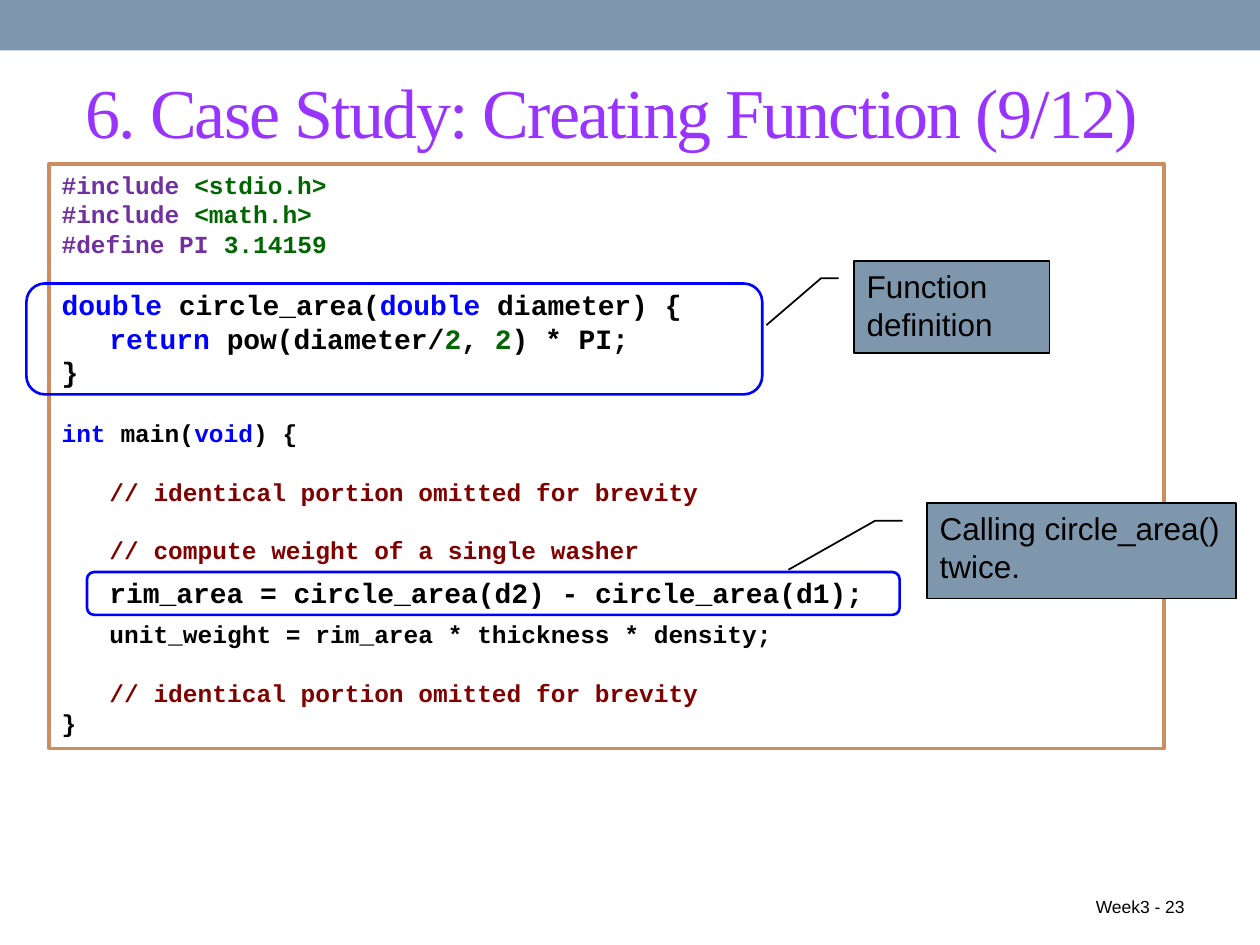
from lxml.etree import SubElement
from pptx import Presentation
from pptx.dml.color import RGBColor
from pptx.enum.shapes import MSO_SHAPE
from pptx.enum.text import MSO_ANCHOR as Anchor, PP_ALIGN as Align
from pptx.oxml.ns import qn
from pptx.util import Pt

COLORS = {
    "white": "FFFFFF", "black": "000000", "slate": "7E97AD", "tan": "CC8E60",
    "title": "9933FF", "directive": "7030A0", "literal": "006600",
    "keyword": "0000FF", "comment": "800000",
}


def write_text(paragraph, text, size=18, color="black", font="Arial", bold=False, spacing=0):
    run = paragraph.add_run()
    run.text = text
    run.font.size = Pt(size)
    run.font.name = font
    run.font.bold = bold
    run.font.color.rgb = RGBColor.from_string(COLORS[color])
    if spacing:
        run.font._element.set("spc", str(spacing * 100))


def add_box(kind, left, top, width, height, fill=None, line=None, weight=1):
    shape = slide.shapes.add_shape(kind, Pt(left), Pt(top), Pt(width), Pt(height))
    shape.shadow.inherit = False
    if fill:
        shape.fill.solid()
        shape.fill.fore_color.rgb = RGBColor.from_string(COLORS[fill])
    else:
        shape.fill.background()
    if line:
        shape.line.color.rgb = RGBColor.from_string(COLORS[line])
        shape.line.width = Pt(weight)
    else:
        shape.line.fill.background()
    shape.text_frame.word_wrap = True
    shape.text_frame.vertical_anchor = Anchor.TOP
    shape.text_frame.paragraphs[0].alignment = Align.LEFT
    return shape


presentation = Presentation()
presentation.slide_width = Pt(720)
presentation.slide_height = Pt(540)
slide = presentation.slides.add_slide(presentation.slide_layouts[6])

add_box(MSO_SHAPE.RECTANGLE, 0, 0, 720, 28.8, fill="slate")

title = slide.shapes.add_textbox(Pt(41.76), Pt(30.24), Pt(660.24), Pt(66.24))
title.text_frame.word_wrap = True
title.text_frame.vertical_anchor = Anchor.MIDDLE
write_text(title.text_frame.paragraphs[0], "6. Case Study: Creating Function (9/12)",
           size=40, color="title", font="Times New Roman", spacing=-1)

footer = slide.shapes.add_textbox(Pt(516.24), Pt(491.76), Pt(167.76), Pt(36))
footer.text_frame.word_wrap = True
footer.text_frame.vertical_anchor = Anchor.BOTTOM
footer.text_frame.paragraphs[0].alignment = Align.RIGHT
write_text(footer.text_frame.paragraphs[0], "Week3 - 23", size=10)

SMALL, LARGE = 14, 16
LINE_RATIO = 1.2
GAP = SMALL * LINE_RATIO
code_lines = [
    (SMALL, 0, 0, [("#include ", "directive"), ("<stdio.h>", "literal")]),
    (SMALL, 0, 0, [("#include ", "directive"), ("<math.h>", "literal")]),
    (SMALL, 0, 0, [("#define PI ", "directive"), ("3.14159", "literal")]),
    (LARGE, GAP, 0, [("double ", "keyword"), ("circle_area(", "black"),
                     ("double", "keyword"), (" diameter) {", "black")]),
    (LARGE, 0, 0, [("\treturn ", "keyword"), ("pow(diameter/", "black"), ("2", "literal"),
                   (", ", "black"), ("2", "literal"), (") * PI;", "black")]),
    (LARGE, 0, 0, [("}", "black")]),
    (SMALL, GAP, 0, [("int", "keyword"), (" main(", "black"),
                     ("void", "keyword"), (") {", "black")]),
    (SMALL, GAP, 0, [("\t// identical portion omitted for brevity", "comment")]),
    (SMALL, GAP, 0, [("\t// compute weight of a single washer", "comment")]),
    (LARGE, 6, 6, [("\trim_area = circle_area(d2) - circle_area(d1);", "black")]),
    (SMALL, 0, 0, [("\tunit_weight = rim_area * thickness * density;", "black")]),
    (SMALL, GAP, 0, [("\t// identical portion omitted for brevity", "comment")]),
    (SMALL, 0, 0, [("}", "black")]),
]

code_box = add_box(MSO_SHAPE.RECTANGLE, 28.08, 93.6, 637.2, 334.08,
                   fill="white", line="tan", weight=2.08)
code_frame = code_box.text_frame
for index, (size, before, after, runs) in enumerate(code_lines):
    paragraph = code_frame.add_paragraph() if index else code_frame.paragraphs[0]
    tabs = SubElement(paragraph._p.get_or_add_pPr(), qn("a:tabLst"))
    SubElement(tabs, qn("a:tab"), pos=str(Pt(27.36)), algn="l")
    paragraph.alignment = Align.LEFT
    paragraph.line_spacing = Pt(size * LINE_RATIO)
    paragraph.space_before = Pt(before)
    paragraph.space_after = Pt(after)
    for text, color in runs:
        write_text(paragraph, text, size=size, color=color, font="Courier New", bold=True)

highlights = [(15.12, 162, 420.48, 63.36), (49.68, 326.88, 464.4, 24.48)]
callouts = [
    ("Function definition", 488.16, 149.04, 111.6, 52.56),
    ("Calling circle_area() twice.", 529.92, 287.28, 176.4, 54.72),
]
pointer = [0.19, -0.08, 0.19, -0.17, 0.7, -0.45]
for highlight, (text, *bounds) in zip(highlights, callouts):
    add_box(MSO_SHAPE.ROUNDED_RECTANGLE, *highlight, line="keyword", weight=1.5)
    callout = add_box(MSO_SHAPE.LINE_CALLOUT_2, *bounds, fill="slate", line="black")
    for index, value in enumerate(pointer):
        callout.adjustments[index] = value
    write_text(callout.text_frame.paragraphs[0], text)

presentation.save("out.pptx")
